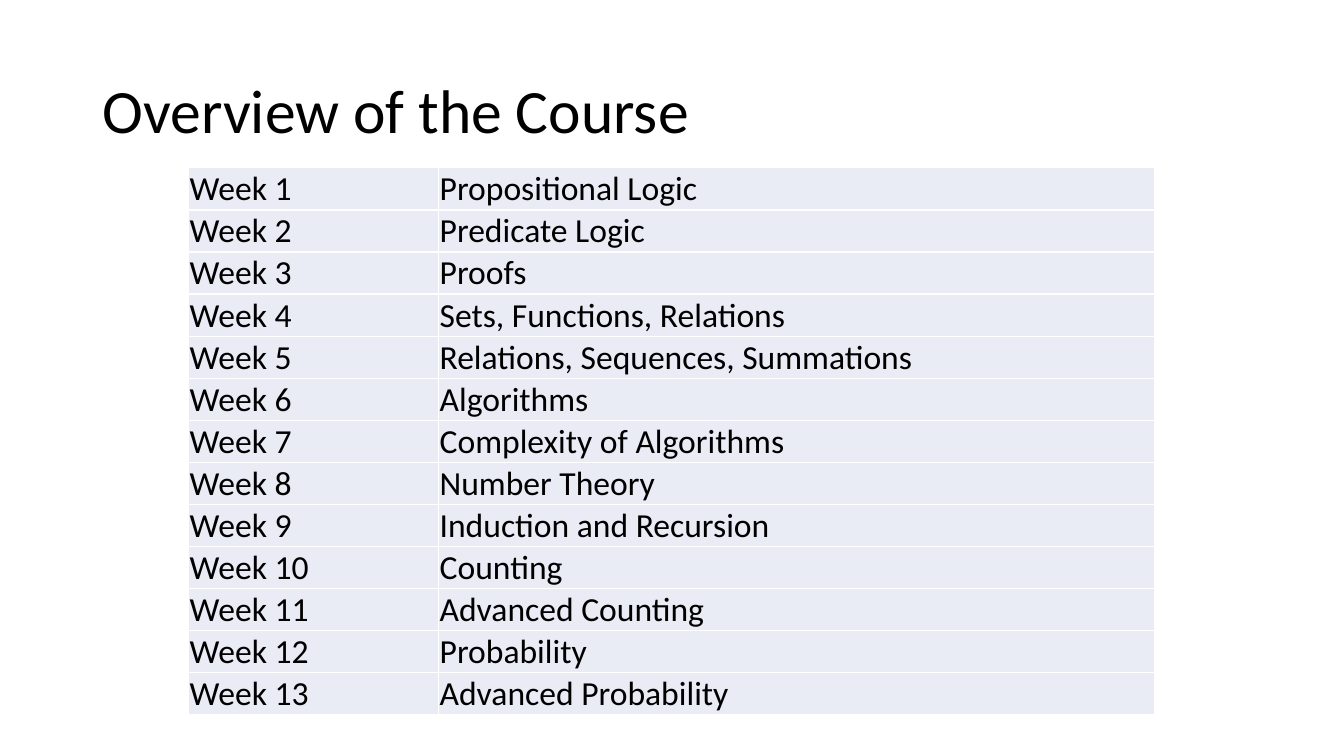
from lxml.etree import SubElement as Sub
from pptx import Presentation
from pptx.dml.color import RGBColor
from pptx.enum.text import MSO_ANCHOR as Anchor, PP_ALIGN as Align
from pptx.oxml.ns import qn
from pptx.util import Cm, Pt


def paint(hue):
    return RGBColor.from_string(hue)


def style(para, size):
    para.alignment = Align.LEFT
    para.font.name = "Calibri"
    para.font.size = Pt(size)
    para.font.color.rgb = paint("000000")


topics = [
    "Propositional Logic",
    "Predicate Logic",
    "Proofs",
    "Sets, Functions, Relations",
    "Relations, Sequences, Summations",
    "Algorithms",
    "Complexity of Algorithms",
    "Number Theory",
    "Induction and Recursion",
    "Counting",
    "Advanced Counting",
    "Probability",
    "Advanced Probability",
]

deck = Presentation()
deck.slide_width, deck.slide_height = Cm(33.87), Cm(19.05)
slide = deck.slides.add_slide(deck.slide_layouts[5])

title = slide.shapes.title
title.left, title.top = Cm(2.33), Cm(1.01)
title.width, title.height = Cm(29.21), Cm(3.68)
title.text_frame.text = "Overview of the Course"
title.text_frame.vertical_anchor = Anchor.MIDDLE
head = title.text_frame.paragraphs[0]
head.line_spacing = 0.9
style(head, 44)

high = 1.06
count = len(topics)
frame = slide.shapes.add_table(count, 2, Cm(4.76), Cm(4.23), Cm(24.33), Cm(high * count))
table = frame.table
table.first_row = False
table.horz_banding = False
table.columns[0].width = Cm(6.3)
table.columns[1].width = Cm(18.03)

for row, (week, topic) in enumerate(enumerate(topics, 1)):
    table.rows[row].height = Cm(high)
    for col, text in enumerate([f"Week {week}", topic]):
        cell = table.cell(row, col)
        cell.text = text
        cell.vertical_anchor = Anchor.BOTTOM
        cell.margin_left = cell.margin_right = cell.margin_top = Cm(0.02)
        cell.margin_bottom = 0
        style(cell.text_frame.paragraphs[0], 24)
        props = cell._tc.get_or_add_tcPr()
        for side in ["lnL", "lnR", "lnT", "lnB"]:
            line = Sub(props, qn(f"a:{side}"), w=str(Pt(1)))
            Sub(Sub(line, qn("a:solidFill")), qn("a:srgbClr"), val="FFFFFF")
        cell.fill.solid()
        cell.fill.fore_color.rgb = paint("E9EBF5")

deck.save("out.pptx")
